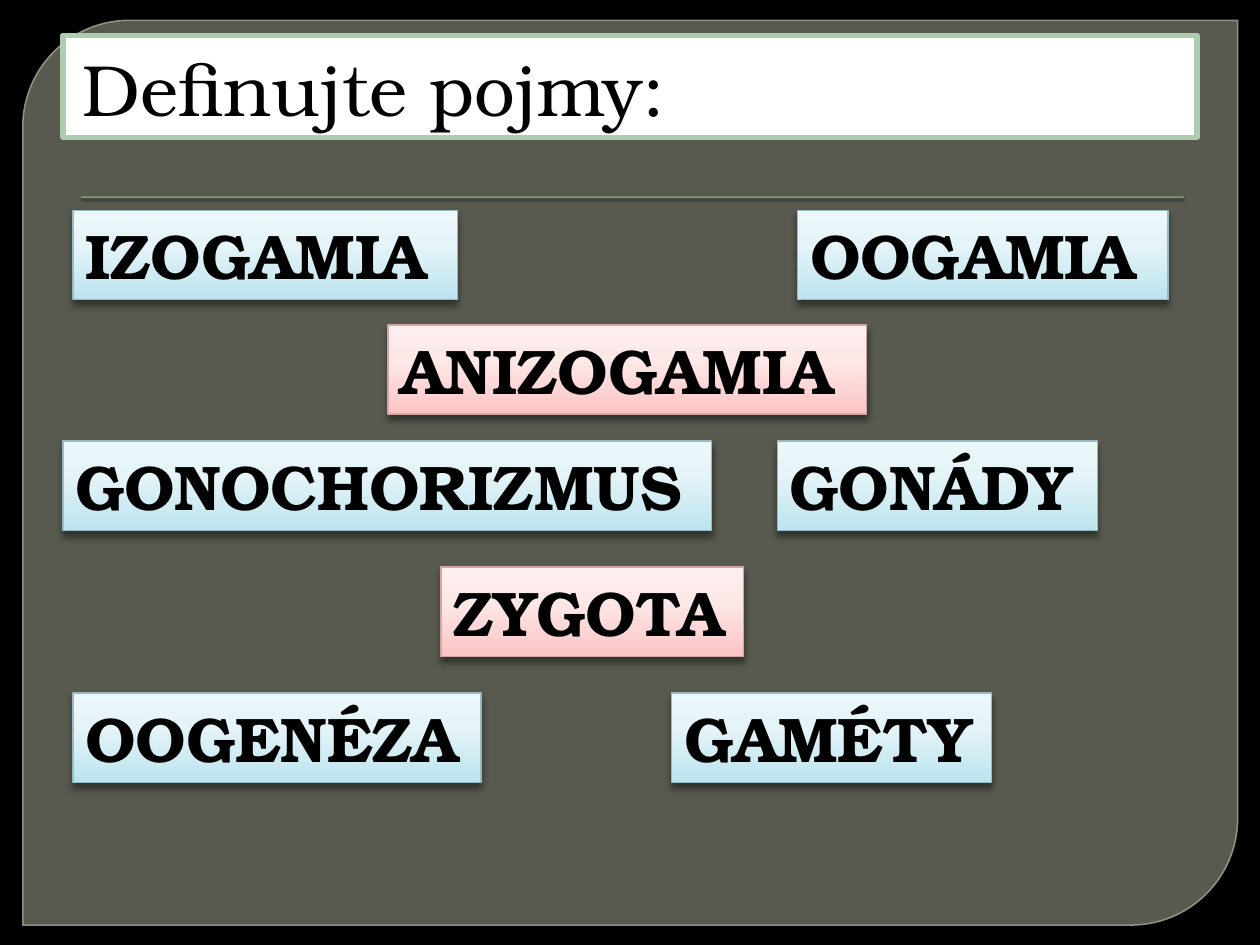
import copy
import pptx
import pptx.util
import pptx.dml.color
import pptx.enum.shapes
import pptx.enum.text
import pptx.oxml.ns
from lxml import etree

Cm = pptx.util.Cm
Pt = pptx.util.Pt
qn = pptx.oxml.ns.qn
SHAPE = pptx.enum.shapes.MSO_SHAPE
FONT = "TeX Gyre Bonum"


def color(hex_value):
    return pptx.dml.color.RGBColor.from_string(hex_value)


def add_shadow(shape, opacity, blur, distance):
    shape.shadow.inherit = False
    effects = shape.element.spPr.find(qn("a:effectLst"))
    shadow = etree.SubElement(effects, qn("a:outerShdw"), blurRad=str(Pt(blur)),
                              dist=str(Pt(distance)), dir="5400000", rotWithShape="0")
    black = etree.SubElement(shadow, qn("a:srgbClr"), val="000000")
    etree.SubElement(black, qn("a:alpha"), val=str(opacity * 1000))


presentation = pptx.Presentation()
presentation.slide_width = Cm(25.4)
presentation.slide_height = Cm(19.05)
slide = presentation.slides.add_slide(presentation.slide_layouts[5])
slide.background.fill.solid()
slide.background.fill.fore_color.rgb = color("000000")

# Translucent panel with two rounded corners
panel = slide.shapes.add_shape(SHAPE.ROUND_2_DIAG_RECTANGLE,
                               Cm(0.46), Cm(0.41), Cm(24.49), Cm(18.24))
panel.adjustments[0] = 0.118
panel.adjustments[1] = 0
panel.shadow.inherit = False
panel.fill.solid()
panel.fill.fore_color.rgb = color("888B7B")
panel.line.color.rgb = color("9DA090")
panel.line.width = Pt(0.87)
# The fill colour comes before the line colour
for paint, opacity in zip(panel.element.spPr.iter(qn("a:srgbClr")), (65, 88)):
    etree.SubElement(paint, qn("a:alpha"), val=str(opacity * 1000))

# Thin rule under the title
rule = slide.shapes.add_shape(SHAPE.RECTANGLE, Cm(1.63), Cm(3.96), Cm(22.23), Cm(0.03))
rule.fill.solid()
rule.fill.fore_color.rgb = color("72A376")
rule.line.fill.background()
add_shadow(rule, 75, 1, 1)

# Title, brought in front of the panel
title = slide.shapes.title
slide.shapes.element.append(title.element)
title.left, title.top, title.width, title.height = Cm(1.27), Cm(0.71), Cm(22.86), Cm(2.06)
title.fill.solid()
title.fill.fore_color.rgb = color("FFFFFF")
title.line.color.rgb = color("B0CCB0")
title.line.width = Pt(3)
title.text_frame.text = "Definujte pojmy:"
title.text_frame.auto_size = pptx.enum.text.MSO_AUTO_SIZE.NONE
title.text_frame.vertical_anchor = pptx.enum.text.MSO_ANCHOR.BOTTOM
title.text_frame.margin_left = Cm(0.4)
heading = title.text_frame.paragraphs[0]
heading.alignment = pptx.enum.text.PP_ALIGN.LEFT
heading.font.name = FONT
heading.font.size = Pt(41.4)
heading.font.color.rgb = color("000000")

# Terms: gradient from bottom to top, then outline
BLUE = (("BCE4EF", "E5F4F8", "ECF7FA"), "98BAC3")
PINK = (("FCC4C4", "FDE8E8", "FEEEEE"), "D3A6A6")
terms = [
    ("IZOGAMIA", 1.47, 4.24, 7.75, BLUE),
    ("ANIZOGAMIA", 7.82, 6.55, 9.65, PINK),
    ("OOGAMIA", 16.08, 4.24, 7.47, BLUE),
    ("GONOCHORIZMUS", 1.27, 8.89, 13.08, BLUE),
    ("GONÁDY", 15.67, 8.89, 6.45, BLUE),
    ("ZYGOTA", 8.89, 11.43, 6.1, PINK),
    ("OOGENÉZA", 1.47, 13.97, 8.23, BLUE),
    ("GAMÉTY", 13.54, 13.97, 6.45, BLUE),
]
for word, left, top, width, (shades, outline) in terms:
    term = slide.shapes.add_shape(SHAPE.RECTANGLE, Cm(left), Cm(top), Cm(width), Cm(1.8))
    term.fill.gradient()
    term.fill.gradient_angle = 90
    stop_list = term.element.spPr.find(".//" + qn("a:gsLst"))
    stop_list.append(copy.deepcopy(stop_list[0]))
    for stop, shade, position in zip(term.fill.gradient_stops, shades, (0, 0.62, 1)):
        stop.color.rgb = color(shade)
        stop.position = position
    term.line.color.rgb = color(outline)
    term.line.width = Pt(0.75)
    add_shadow(term, 43, 4, 3)

    term.text_frame.text = word
    term.text_frame.word_wrap = True
    term.text_frame.margin_right = 0
    term.text_frame.vertical_anchor = pptx.enum.text.MSO_ANCHOR.TOP
    label = term.text_frame.paragraphs[0]
    label.alignment = pptx.enum.text.PP_ALIGN.LEFT
    label.font.name = FONT
    label.font.size = Pt(36)
    label.font.bold = True
    label.font.color.rgb = color("000000")

presentation.save("out.pptx")
